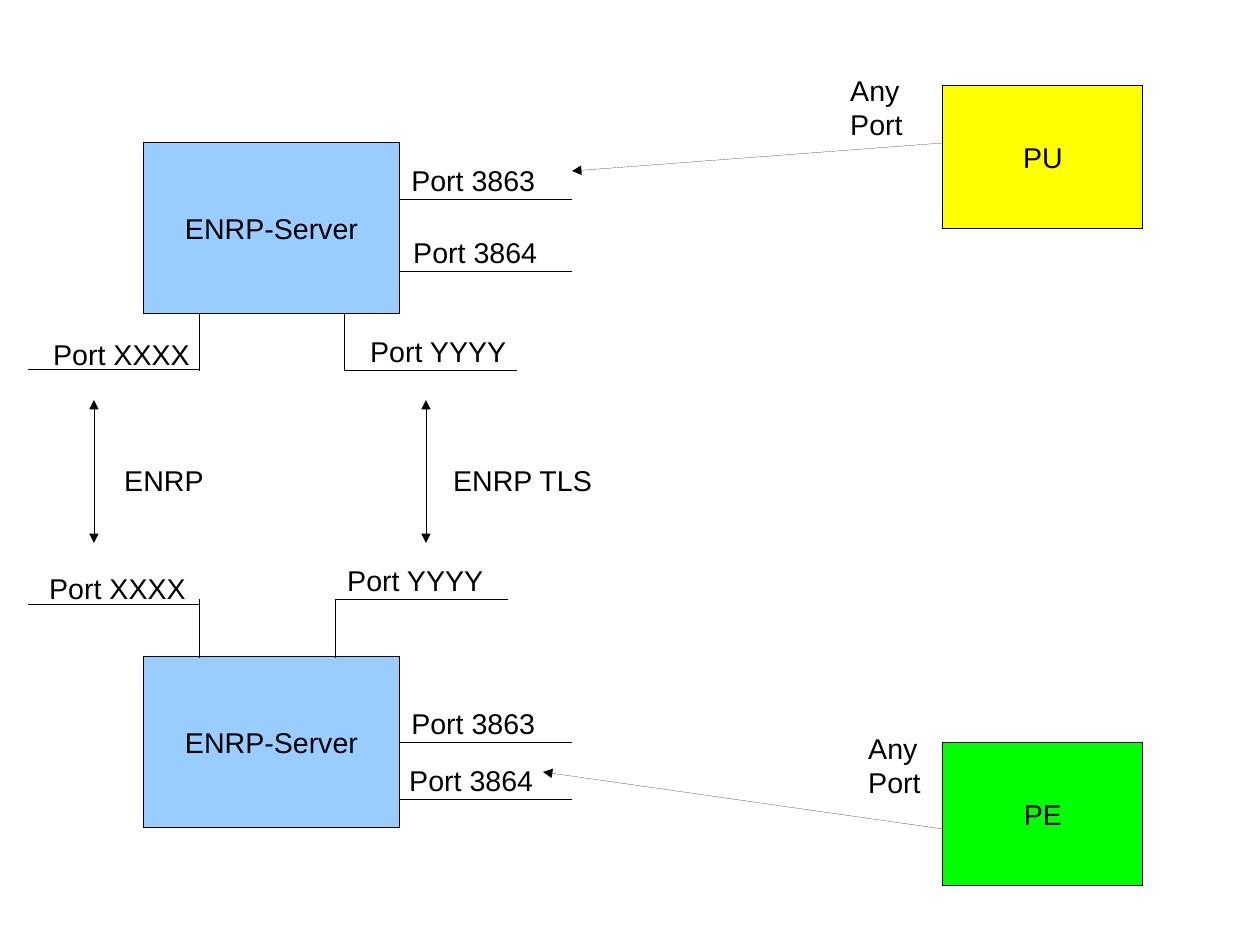
from dataclasses import dataclass

from lxml import etree
from pptx import Presentation
from pptx.dml.color import RGBColor
from pptx.enum.shapes import MSO_CONNECTOR, MSO_SHAPE
from pptx.enum.text import MSO_ANCHOR, MSO_AUTO_SIZE, PP_ALIGN
from pptx.oxml.ns import qn
from pptx.util import Emu, Pt

RECTANGLE = MSO_SHAPE.RECTANGLE
STRAIGHT = MSO_CONNECTOR.STRAIGHT
MIDDLE = MSO_ANCHOR.MIDDLE
CENTER = PP_ALIGN.CENTER
LEFT = PP_ALIGN.LEFT
GROW = MSO_AUTO_SIZE.SHAPE_TO_FIT_TEXT

BLACK = RGBColor(0x00, 0x00, 0x00)
SERVER_BLUE = RGBColor(0x99, 0xCC, 0xFF)
USER_YELLOW = RGBColor(0xFF, 0xFF, 0x00)
ELEMENT_GREEN = RGBColor(0x00, 0xFF, 0x00)

FONT = "Arial"
FONT_SIZE = Pt(18)
EMU_PER_PX = 8000  # 45 px to the centimetre


@dataclass(frozen=True)
class Node:
    name: str
    x: int
    y: int
    width: int
    height: int
    fill: RGBColor


@dataclass(frozen=True)
class Label:
    text: str
    x: int
    y: int
    width: int
    height: int = 43


@dataclass(frozen=True)
class Link:
    x1: int
    y1: int
    x2: int
    y2: int
    head: bool = False
    tail: bool = False


NODES = [
    Node("ENRP-Server", 143, 143, 257, 171, SERVER_BLUE),
    Node("ENRP-Server", 143, 657, 257, 171, SERVER_BLUE),
    Node("PU", 943, 86, 200, 143, USER_YELLOW),
    Node("PE", 943, 743, 200, 143, ELEMENT_GREEN),
]

# Port lines to the right of the servers
SIDE_PORTS = [Link(400, y, 572, y) for y in (200, 272, 743, 800)]

# Port lines below the upper server and above the lower one
SERVER_PORTS = [
    Link(200, 314, 200, 371),
    Link(29, 370, 200, 370),
    Link(345, 314, 345, 371),
    Link(345, 371, 517, 371),
    Link(200, 600, 200, 657),
    Link(29, 605, 200, 605),
    Link(336, 600, 336, 657),
    Link(336, 600, 508, 600),
]

# Traffic between the servers, and from PU and PE
TRAFFIC = [Link(x, 400, x, 543, head=True, tail=True) for x in (94, 426)] + [
    Link(943, 143, 572, 171, tail=True),
    Link(943, 829, 543, 772, tail=True),
]

LABELS = [
    Label("Port 3863", 400, 157, 149),
    Label("Port 3864", 402, 229, 149),
    Label("Port 3863", 400, 700, 149),
    Label("Port 3864", 398, 757, 149),
    Label("Port XXXX", 42, 331, 173),
    Label("Port YYYY", 359, 328, 161),
    Label("Port XXXX", 38, 565, 173),
    Label("Port YYYY", 336, 557, 161),
    Label("ENRP", 113, 457, 104),
    Label("ENRP TLS", 442, 457, 164),
    Label("Any\nPort", 839, 67, 77, 75),
    Label("Any\nPort", 857, 725, 77, 75),
]


def px(length: int) -> Emu:
    return Emu(length * EMU_PER_PX)


def write_text(frame, text: str, alignment) -> None:
    frame.text = text
    for paragraph in frame.paragraphs:
        paragraph.alignment = alignment
        paragraph.font.name = FONT
        paragraph.font.size = FONT_SIZE
        paragraph.font.color.rgb = BLACK


def draw_hairline(shape):
    """Give the shape a black hairline and return its line element."""
    shape.line.color.rgb = BLACK
    outline = shape._element.spPr.find(qn("a:ln"))
    outline.set("w", "0")  # line.width = 0 would drop the attribute
    return outline


def draw_node(slide, node: Node) -> None:
    box = slide.shapes.add_shape(
        RECTANGLE, px(node.x), px(node.y), px(node.width), px(node.height)
    )
    box.shadow.inherit = False
    box.fill.solid()
    box.fill.fore_color.rgb = node.fill
    draw_hairline(box)
    box.text_frame.vertical_anchor = MIDDLE
    write_text(box.text_frame, node.name, CENTER)


def draw_link(slide, link: Link) -> None:
    connector = slide.shapes.add_connector(
        STRAIGHT, px(link.x1), px(link.y1), px(link.x2), px(link.y2)
    )
    outline = draw_hairline(connector)
    for end, shown in (("a:headEnd", link.head), ("a:tailEnd", link.tail)):
        if shown:
            etree.SubElement(outline, qn(end), type="triangle")
    etree.SubElement(connector._element.spPr, qn("a:effectLst"))


def draw_label(slide, label: Label) -> None:
    caption = slide.shapes.add_textbox(
        px(label.x), px(label.y), px(label.width), px(label.height)
    )
    frame = caption.text_frame
    frame.word_wrap = False
    frame.auto_size = GROW
    write_text(frame, label.text, LEFT)


def main() -> None:
    presentation = Presentation()
    presentation.slide_width = px(1260)
    presentation.slide_height = px(945)
    slide = presentation.slides.add_slide(presentation.slide_layouts[6])

    for node in NODES:
        draw_node(slide, node)
    for link in SIDE_PORTS + SERVER_PORTS + TRAFFIC:
        draw_link(slide, link)
    for label in LABELS:
        draw_label(slide, label)

    presentation.save("out.pptx")


if __name__ == "__main__":
    main()
